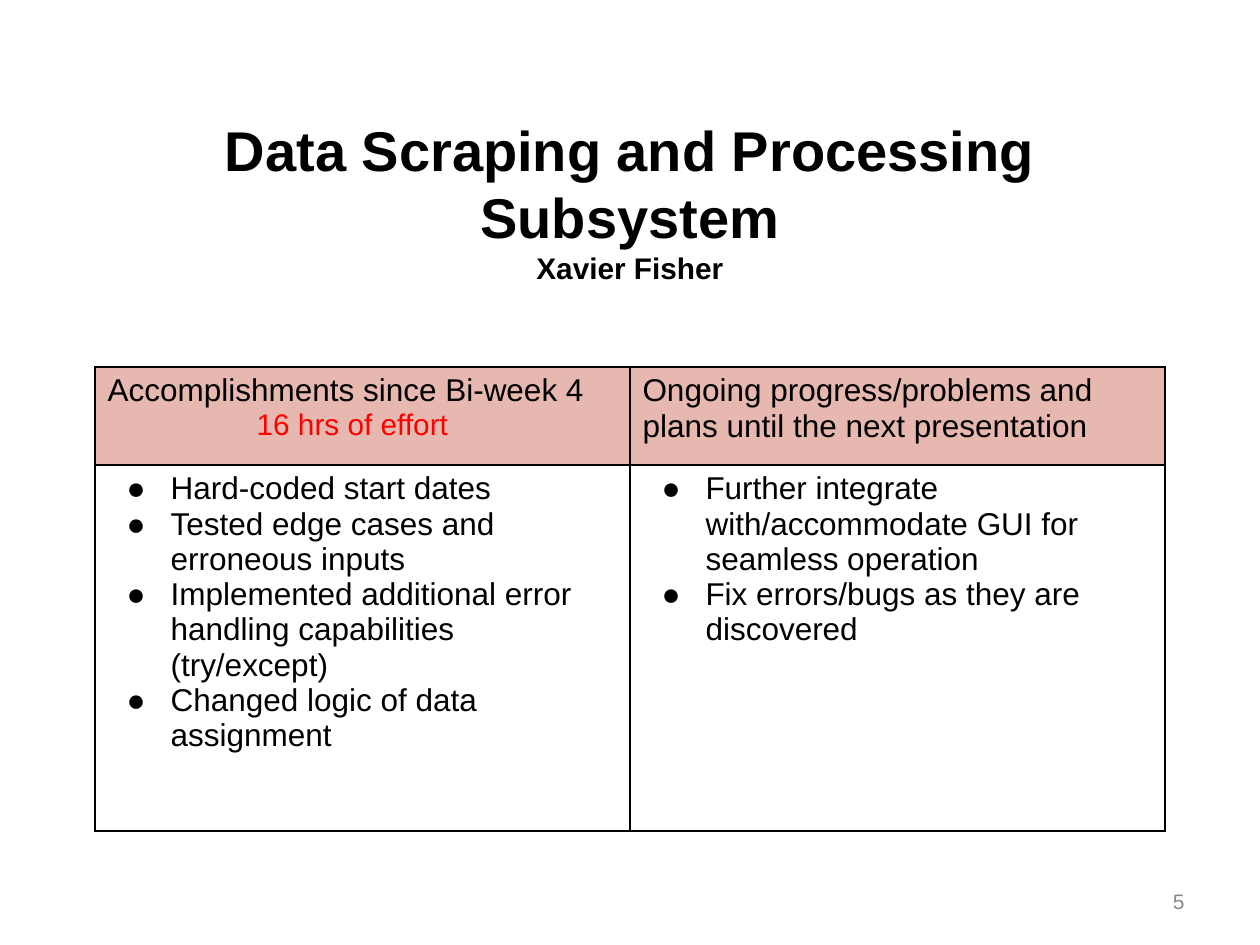
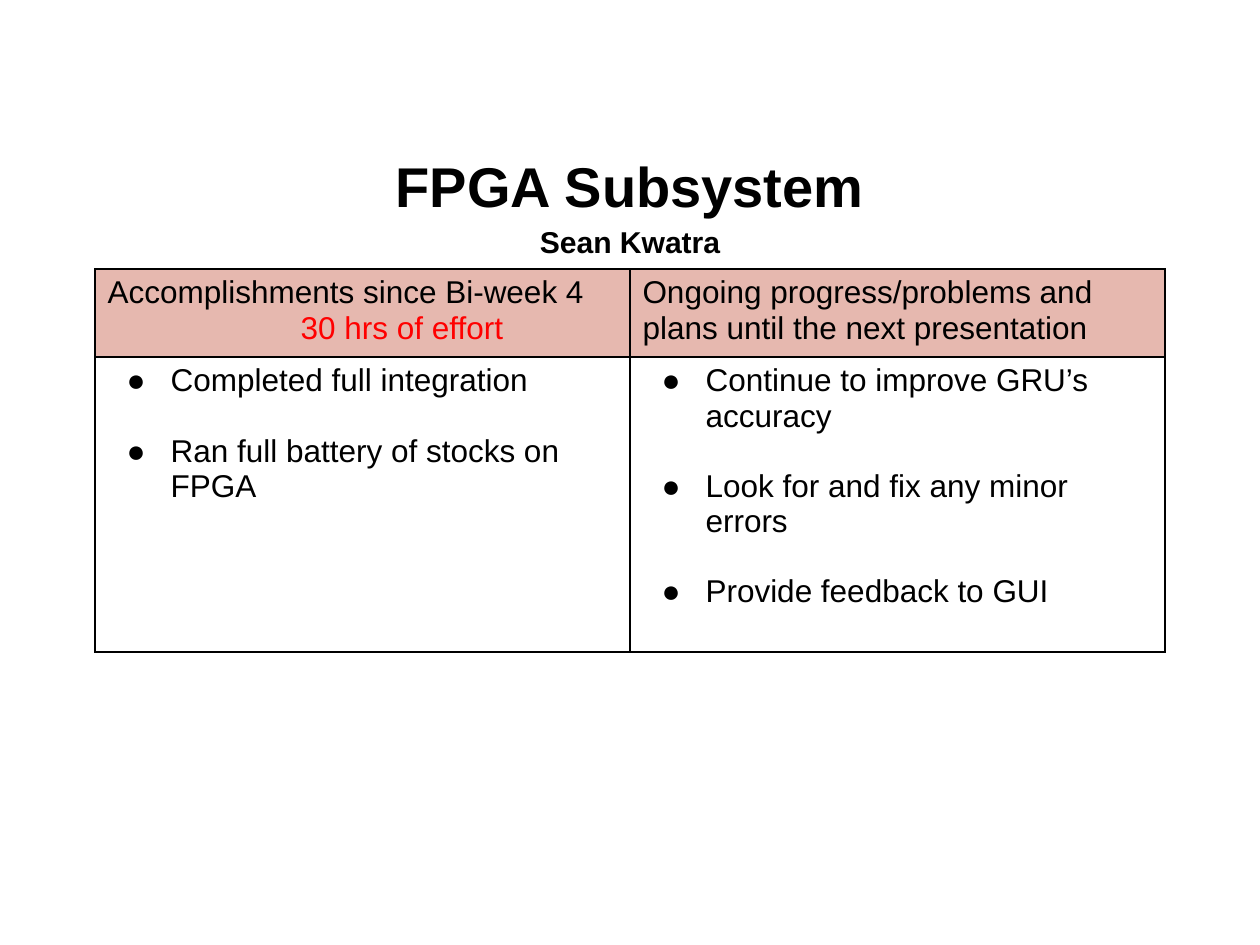
import dataclasses

import lxml.etree
import pptx
import pptx.dml.color
import pptx.enum.text
import pptx.oxml.ns
import pptx.util

PIXELS_PER_INCH = 126
ALIGN = pptx.enum.text.PP_ALIGN
ANCHOR = pptx.enum.text.MSO_ANCHOR


@dataclasses.dataclass(frozen=True)
class Theme:
    font: str = "Arial"
    ink: str = "000000"
    effort: str = "FF0000"
    header_fill: str = "E6B8AF"
    muted: str = "888888"
    title_size: float = 32
    body_size: float = 18
    number_size: float = 12
    border_width: float = 1


THEME = Theme()
SLIDE_SIZE = (1260, 945)
TITLE_BOX = (63, 145, 1134, 111)
NUMBER_BOX = (903, 876, 294, 50)
TABLE_LEFT = 95
COLUMN_WIDTH = 535
BULLET_INDENT = 63
BULLET_HANG = 44

DONE_HEADING = "Accomplishments since Bi-week 4"
PLAN_HEADING = "Ongoing progress/problems and plans until the next presentation"

REPORTS = [
    {
        "title": "Data Scraping and Processing Subsystem",
        "presenter": "Xavier Fisher",
        "presenter_size": 17,
        "title_spacing": 1.0,
        "effort": "16 hrs of effort",
        "effort_size": 17,
        "effort_indent": 149,
        "table_top": 367,
        "row_heights": (98, 366),
        "bullet_gap": 0,
        "done": [
            "Hard-coded start dates",
            "Tested edge cases and erroneous inputs",
            "Implemented additional error handling capabilities (try/except)",
            "Changed logic of data assignment",
        ],
        "plans": [
            "Further integrate with/accommodate GUI for seamless operation",
            "Fix errors/bugs as they are discovered",
        ],
        "number": "5",
    },
    {
        "title": "FPGA Subsystem",
        "presenter": "Sean Kwatra",
        "presenter_size": 17.2,
        "title_spacing": 1.15,
        "effort": "30 hrs of effort",
        "effort_size": 18,
        "effort_indent": 193,
        "table_top": 269,
        "row_heights": (88, 295),
        "bullet_gap": 20,
        "done": [
            "Completed full integration",
            "Ran full battery of stocks on FPGA",
        ],
        "plans": [
            "Continue to improve GRU’s accuracy",
            "Look for and fix any minor errors",
            "Provide feedback to GUI",
        ],
        "number": None,
    },
]


def px(length):
    return pptx.util.Emu(round(length * 914400 / PIXELS_PER_INCH))


def add_element(parent, tag, **attributes):
    element = lxml.etree.SubElement(parent, pptx.oxml.ns.qn(tag))
    for name, value in attributes.items():
        element.set(name, str(value))
    return element


def write(frame, text, first=False, size=THEME.body_size, color=THEME.ink, bold=False,
          align=ALIGN.LEFT, spacing=1.0, before=0, indent=0, bullet=False):
    paragraph = frame.paragraphs[0] if first else frame.add_paragraph()
    paragraph.alignment = align
    paragraph.line_spacing = spacing
    paragraph.space_before = pptx.util.Pt(before)
    run = paragraph.add_run()
    run.text = text
    run.font.name = THEME.font
    run.font.size = pptx.util.Pt(size)
    run.font.bold = bold
    run.font.color.rgb = pptx.dml.color.RGBColor.from_string(color)
    properties = paragraph._p.get_or_add_pPr()
    properties.set("marL", str(px(indent)))
    properties.set("indent", str(-px(BULLET_HANG) if bullet else 0))
    if bullet:
        add_element(add_element(properties, "a:buClr"), "a:srgbClr", val=color)
        add_element(properties, "a:buFont", typeface=THEME.font)
        add_element(properties, "a:buChar", char="●")


def write_bullets(frame, items, gap):
    for index, item in enumerate(items):
        write(frame, item, first=index == 0, before=gap if index else 0,
              indent=BULLET_INDENT, bullet=True)


def style_cell(cell, fill):
    properties = cell._tc.get_or_add_tcPr()
    for side in ("a:lnL", "a:lnR", "a:lnT", "a:lnB"):
        line = add_element(properties, side, w=pptx.util.Pt(THEME.border_width))
        add_element(add_element(line, "a:solidFill"), "a:srgbClr", val=THEME.ink)
    if fill:
        cell.fill.solid()
        cell.fill.fore_color.rgb = pptx.dml.color.RGBColor.from_string(fill)
    else:
        cell.fill.background()


def place_title(slide, report):
    title = slide.shapes.title
    title.left, title.top, title.width, title.height = map(px, TITLE_BOX)
    frame = title.text_frame
    frame.auto_size = pptx.enum.text.MSO_AUTO_SIZE.NONE
    frame.vertical_anchor = ANCHOR.MIDDLE
    shared = {"bold": True, "align": ALIGN.CENTER, "spacing": report["title_spacing"]}
    write(frame, report["title"], first=True, size=THEME.title_size, **shared)
    write(frame, report["presenter"], size=report["presenter_size"], **shared)


def add_progress_table(slide, report):
    heights = report["row_heights"]
    table = slide.shapes.add_table(
        2, 2, px(TABLE_LEFT), px(report["table_top"]),
        px(2 * COLUMN_WIDTH), px(sum(heights))).table
    table.first_row = False
    table.horz_banding = False
    for column in table.columns:
        column.width = px(COLUMN_WIDTH)
    for row, height, fill in zip(table.rows, heights, (THEME.header_fill, None)):
        row.height = px(height)
        for cell in row.cells:
            style_cell(cell, fill)
    done_header = table.cell(0, 0).text_frame
    write(done_header, DONE_HEADING, first=True)
    write(done_header, report["effort"], size=report["effort_size"],
          color=THEME.effort, indent=report["effort_indent"])
    write(table.cell(0, 1).text_frame, PLAN_HEADING, first=True)
    for column, key in enumerate(("done", "plans")):
        write_bullets(table.cell(1, column).text_frame, report[key], report["bullet_gap"])


def add_slide_number(slide, number):
    frame = slide.shapes.add_textbox(*map(px, NUMBER_BOX)).text_frame
    frame.word_wrap = True
    frame.vertical_anchor = ANCHOR.MIDDLE
    write(frame, number, first=True, size=THEME.number_size,
          color=THEME.muted, align=ALIGN.RIGHT)


def main():
    presentation = pptx.Presentation()
    presentation.slide_width, presentation.slide_height = map(px, SLIDE_SIZE)
    for report in REPORTS:
        slide = presentation.slides.add_slide(presentation.slide_layouts[5])
        place_title(slide, report)
        add_progress_table(slide, report)
        if report["number"]:
            add_slide_number(slide, report["number"])
    presentation.save("out.pptx")


if __name__ == "__main__":
    main()
